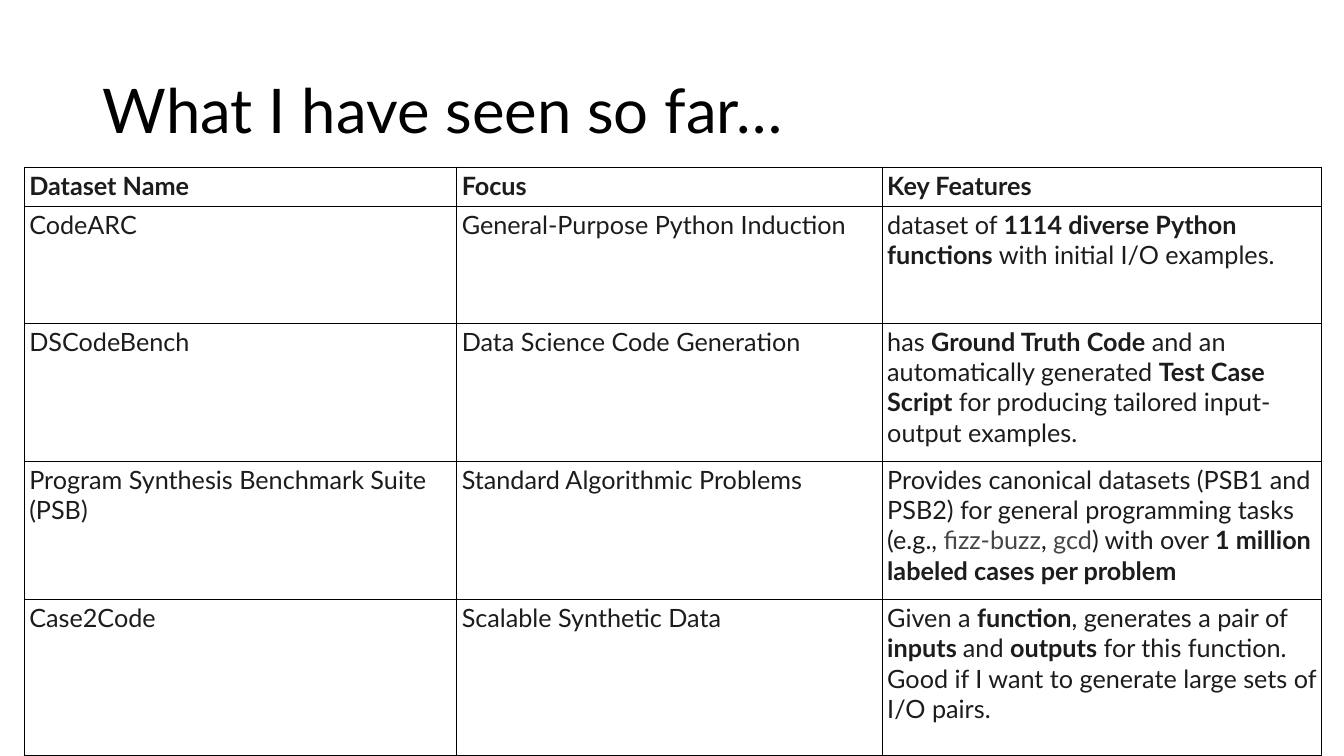
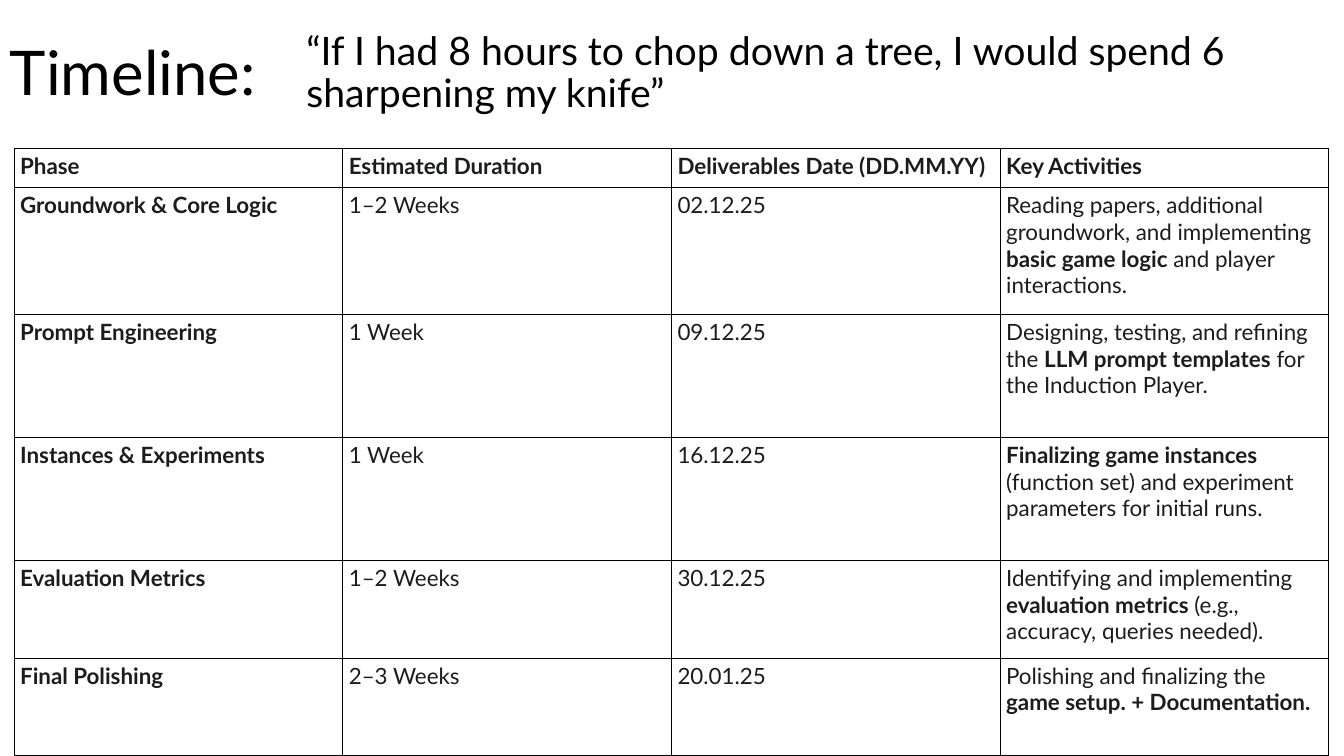
from dataclasses import dataclass

from lxml.etree import SubElement
from pptx import Presentation
from pptx.dml.color import RGBColor
from pptx.enum.text import MSO_ANCHOR as Anchor
from pptx.oxml.ns import qn
from pptx.slide import Slide
from pptx.table import _Cell as Cell
from pptx.text.text import _Paragraph as Paragraph
from pptx.util import Inches, Pt

COLORS = {"title": "000000", "text": "1B1C1D", "code": "444746",
          "border": "000000", "cell": "FFFFFF"}
FONT = "Lato"
BORDER_WIDTH = Pt(1)


@dataclass
class Grid:
    left: float
    top: float
    cols: list[float]
    rows: list[float]
    size: int
    inset_x: float
    inset_y: float
    cells: list[list[str]]


DATASETS = Grid(
    left=0.24, top=1.66, cols=[4.29, 4.22, 4.36],
    rows=[0.39, 1.16, 1.37, 1.37, 1.55], size=18, inset_x=0.05, inset_y=0.03,
    cells=[
        ["*Dataset Name*", "*Focus*", "*Key Features*"],
        ["CodeARC", "General-Purpose Python Induction",
         "dataset of *1114 diverse Python functions* with initial I/O examples."],
        ["DSCodeBench", "Data Science Code Generation",
         "has *Ground Truth Code* and an automatically generated *Test Case Script*"
         " for producing tailored input-output examples."],
        ["Program Synthesis Benchmark Suite (PSB)", "Standard Algorithmic Problems",
         "Provides canonical datasets (PSB1 and PSB2) for general programming tasks"
         " (e.g., `fizz-buzz`, `gcd`) with over *1 million labeled cases per problem*"],
        ["Case2Code", "Scalable Synthetic Data",
         "Given a *function*, generates a pair of *inputs *and *outputs* for this"
         " function. Good if I want to generate large sets of I/O pairs."],
    ])

TIMELINE = Grid(
    left=0.14, top=1.47, cols=[3.26] * 4,
    rows=[0.39, 1.26, 1.22, 1.22, 0.97, 0.97], size=16, inset_x=0.06, inset_y=0.04,
    cells=[
        ["*Phase*", "*Estimated Duration*", "*Deliverables Date (DD.MM.YY)*",
         "*Key Activities*"],
        ["*Groundwork & Core Logic*", "1–2 Weeks", "02.12.25",
         "Reading papers, additional groundwork, and implementing"
         " *basic game logic* and player interactions."],
        ["*Prompt Engineering*", "1 Week", "09.12.25",
         "Designing, testing, and refining the *LLM prompt templates*"
         " for the Induction Player."],
        ["*Instances & Experiments*", "1 Week", "16.12.25",
         "*Finalizing game instances* (function set) and experiment parameters"
         " for initial runs."],
        ["*Evaluation Metrics*", "1–2 Weeks", "30.12.25",
         "Identifying and implementing *evaluation metrics* (e.g., accuracy,"
         " queries needed)."],
        ["*Final Polishing*", "2–3 Weeks", "20.01.25",
         "Polishing and finalizing the *game setup. + Documentation.*"],
    ])


def add_run(p: Paragraph, text: str, size: int, color: str, bold: bool = False) -> None:
    r = p.add_run()
    r.text = text
    r.font.name = FONT
    r.font.size = Pt(size)
    r.font.bold = bold
    r.font.color.rgb = RGBColor.from_string(COLORS[color])


def add_marked_text(p: Paragraph, text: str, size: int) -> None:
    """Write text where *...* is bold and `...` is code grey."""
    for i, part in enumerate(text.split("*")):
        for j, piece in enumerate(part.split("`")):
            if piece:
                add_run(p, piece, size, "code" if j % 2 else "text", bold=i % 2 == 1)


def add_heading(s: Slide, text: str, left: float, top: float, width: float,
                height: float, size: int = 44, anchor: Anchor = Anchor.MIDDLE) -> None:
    tf = s.shapes.add_textbox(Inches(left), Inches(top),
                              Inches(width), Inches(height)).text_frame
    tf.word_wrap = True
    tf.vertical_anchor = anchor
    p = tf.paragraphs[0]
    p.line_spacing = 0.9
    add_run(p, text, size, "title")


def add_borders(cell: Cell) -> None:
    tc_pr = cell._tc.get_or_add_tcPr()
    for i, side in enumerate(("a:lnL", "a:lnR", "a:lnT", "a:lnB")):
        ln = SubElement(tc_pr, qn(side), w=str(BORDER_WIDTH))
        fill = SubElement(ln, qn("a:solidFill"))
        SubElement(fill, qn("a:srgbClr"), val=COLORS["border"])
        tc_pr.insert(i, ln)


def add_grid(s: Slide, grid: Grid) -> None:
    table = s.shapes.add_table(
        len(grid.rows), len(grid.cols), Inches(grid.left), Inches(grid.top),
        Inches(sum(grid.cols)), Inches(sum(grid.rows))).table
    table.first_row = table.horz_banding = False
    for col, width in zip(table.columns, grid.cols):
        col.width = Inches(width)
    for row, height, texts in zip(table.rows, grid.rows, grid.cells):
        row.height = Inches(height)
        for cell, text in zip(row.cells, texts):
            cell.margin_left = cell.margin_right = Inches(grid.inset_x)
            cell.margin_top = cell.margin_bottom = Inches(grid.inset_y)
            cell.fill.solid()
            cell.fill.fore_color.rgb = RGBColor.from_string(COLORS["cell"])
            add_borders(cell)
            add_marked_text(cell.text_frame.paragraphs[0], text, grid.size)


def main() -> None:
    prs = Presentation()
    prs.slide_width, prs.slide_height = Inches(13.33), Inches(7.5)
    blank = prs.slide_layouts[6]

    s = prs.slides.add_slide(blank)
    add_heading(s, "What I have seen so far…", 0.92, 0.4, 11.5, 1.45)
    add_grid(s, DATASETS)

    s = prs.slides.add_slide(blank)
    add_heading(s, "Timeline:", 0, 0.02, 2.94, 1.45)
    add_heading(s, "“If I had 8 hours to chop down a tree, I would spend 6 "
                "sharpening my knife”", 2.94, 0.26, 10.25, 0.97, 28, Anchor.TOP)
    add_grid(s, TIMELINE)

    prs.save("out.pptx")


if __name__ == "__main__":
    main()
